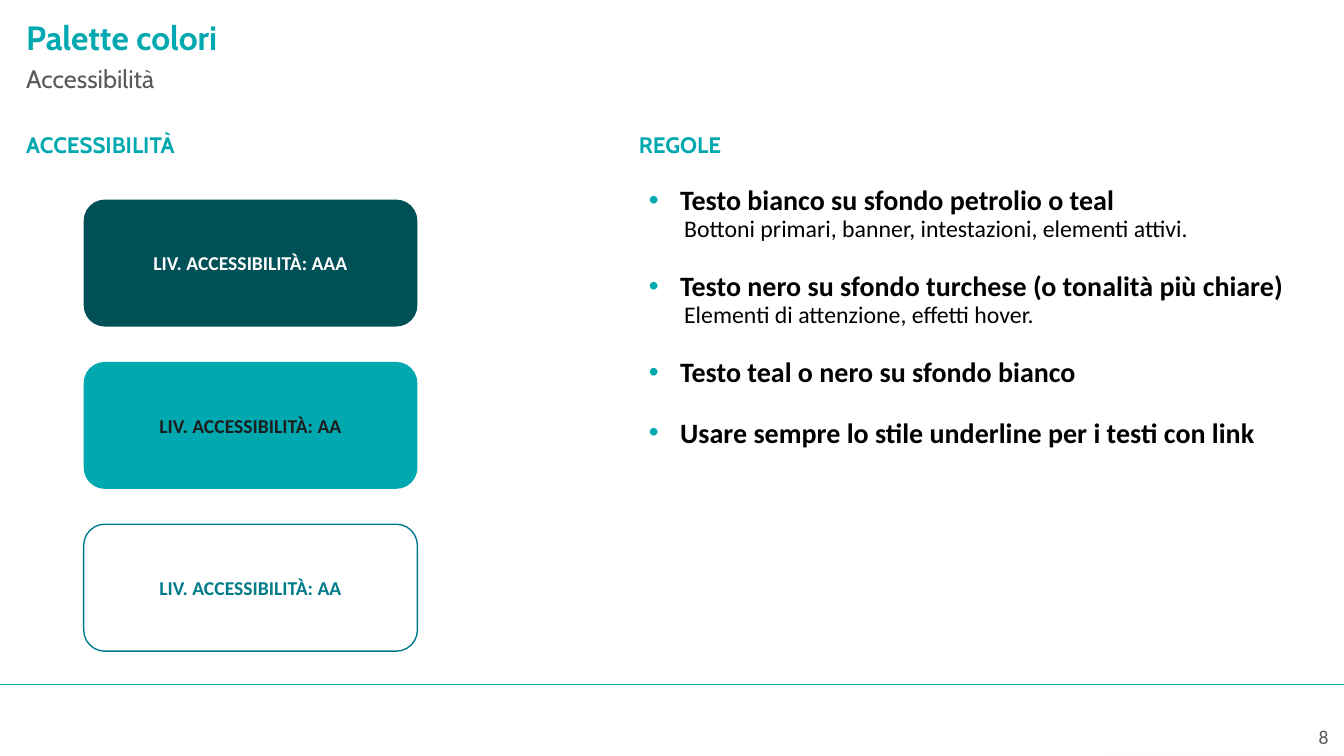
import pptx
import pptx.dml.color
import pptx.enum.shapes
import pptx.enum.text
import pptx.oxml
import pptx.oxml.ns
import pptx.util
from dataclasses import dataclass
from lxml import etree

Cm, Pt = pptx.util.Cm, pptx.util.Pt
ALIGN = pptx.enum.text.PP_ALIGN
ANCHOR = pptx.enum.text.MSO_ANCHOR
SHAPE = pptx.enum.shapes.MSO_SHAPE


@dataclass(frozen=True)
class Theme:
    heading_font: str = "Cabin"
    body_font: str = "Calibri"
    turquoise: str = "00A8B0"
    petrol: str = "005157"
    teal: str = "007B8B"
    grey: str = "595959"
    ink: str = "1D1D1D"
    black: str = "000000"
    white: str = "FFFFFF"
    title: int = 24
    subtitle: int = 18
    heading: int = 16
    rule: int = 20
    detail: int = 17
    label: int = 14


THEME = Theme()
TITLE = "Palette colori"
SUBTITLE = "Accessibilità"
LEFT_HEADING = "ACCESSIBILITÀ"
RIGHT_HEADING = "REGOLE"
PAGE_NUMBER = "8"
CARDS = [
    ("LIV. ACCESSIBILITÀ: AAA", THEME.petrol, THEME.white, None),
    ("LIV. ACCESSIBILITÀ: AA", THEME.turquoise, THEME.ink, None),
    ("LIV. ACCESSIBILITÀ: AA", THEME.white, THEME.teal, THEME.teal),
]
RULES = [
    ("Testo bianco su sfondo petrolio o teal",
     "Bottoni primari, banner, intestazioni, elementi attivi."),
    ("Testo nero su sfondo turchese (o tonalità più chiare)",
     "Elementi di attenzione, effetti hover."),
    ("Testo teal o nero su sfondo bianco", None),
    ("Usare sempre lo stile underline per i testi con link", None),
]

PAGE_WIDTH, PAGE_HEIGHT = 33.87, 19.05
LEFT_COLUMN, RIGHT_COLUMN = 0.66, 16.1
CARD_LEFT, CARD_TOP, CARD_WIDTH, CARD_HEIGHT, CARD_PITCH = 2.11, 5.03, 8.41, 3.2, 4.09
FOOTER_TOP = 17.25


def rgb(value):
    return pptx.dml.color.RGBColor.from_string(value)


def place(shape, left, top, width, height):
    shape.left, shape.top = Cm(left), Cm(top)
    shape.width, shape.height = Cm(width), Cm(height)


def set_frame(shape, insets, anchor):
    frame = shape.text_frame
    frame.word_wrap = True
    frame.auto_size = pptx.enum.text.MSO_AUTO_SIZE.NONE
    frame.vertical_anchor = anchor
    frame.margin_left, frame.margin_top, frame.margin_right, frame.margin_bottom = map(Cm, insets)
    return frame


def set_bullet(para, indent, hanging, color=None):
    properties = para._p.get_or_add_pPr()
    properties.set("marL", str(Cm(indent)))
    properties.set("indent", str(-Cm(hanging)))
    if color:
        tint = etree.SubElement(properties, pptx.oxml.ns.qn("a:buClr"))
        etree.SubElement(tint, pptx.oxml.ns.qn("a:srgbClr"), val=color)
        etree.SubElement(properties, pptx.oxml.ns.qn("a:buChar"), char="•")
    else:
        etree.SubElement(properties, pptx.oxml.ns.qn("a:buNone"))


def style(para, font, size, color, bold=False, align=ALIGN.LEFT, spacing=0.9, before=0):
    para.alignment = align
    para.line_spacing = spacing
    para.space_before = Pt(before)
    para.font.name = font
    para.font.size = Pt(size)
    para.font.bold = bold
    para.font.color.rgb = rgb(color)


def write_heading(holder, text, area, inset, anchor, size, color, bold):
    place(holder, *area)
    frame = set_frame(holder, (0, inset, 0.25, inset), anchor)
    frame.text = text
    para = frame.paragraphs[0]
    set_bullet(para, 0, 0)
    style(para, THEME.heading_font, size, color, bold)


def add_glow(page):
    glow = page.shapes.add_shape(SHAPE.RECTANGLE, Cm(26.59), Cm(11.79), Cm(4.9), Cm(9.63))
    glow.shadow.inherit = False
    glow.rotation = 270
    glow._element.spPr.xfrm.set("flipH", "1")
    glow.line.fill.background()
    glow.fill.gradient()
    glow.fill.gradient_angle = 135
    for stop, position in zip(glow.fill.gradient_stops, (0, 0.43)):
        stop.color.rgb = rgb(THEME.white)
        stop.position = position
    clear = glow._element.spPr.xpath(".//a:srgbClr")[-1]
    etree.SubElement(clear, pptx.oxml.ns.qn("a:alpha"), val="0")


def add_footer(page):
    number = page.shapes.add_textbox(Cm(31.67), Cm(18.11), Cm(2.06), Cm(0.74))
    frame = set_frame(number, (0.25, 0.13, 0.25, 0), ANCHOR.BOTTOM)
    frame.text = PAGE_NUMBER
    style(frame.paragraphs[0], THEME.body_font, THEME.label, THEME.grey, align=ALIGN.RIGHT, spacing=1.0)
    line = page.shapes.add_connector(pptx.enum.shapes.MSO_CONNECTOR.STRAIGHT,
                                     0, Cm(FOOTER_TOP), Cm(PAGE_WIDTH), Cm(FOOTER_TOP))
    line.line.color.rgb = rgb(THEME.turquoise)
    line.line.width = Pt(0.5)
    etree.SubElement(line._element.spPr, pptx.oxml.ns.qn("a:effectLst"))


def add_cards(page):
    for row, (label, fill, ink, outline) in enumerate(CARDS):
        card = page.shapes.add_shape(SHAPE.ROUNDED_RECTANGLE, Cm(CARD_LEFT), Cm(CARD_TOP + row * CARD_PITCH),
                                     Cm(CARD_WIDTH), Cm(CARD_HEIGHT))
        card.shadow.inherit = False
        card.fill.solid()
        card.fill.fore_color.rgb = rgb(fill)
        if outline:
            card.line.color.rgb = rgb(outline)
            card.line.width = Pt(1)
        else:
            card.line.fill.background()
        frame = set_frame(card, (0.25, 0.13, 0.25, 0.13), ANCHOR.MIDDLE)
        frame.text = label
        style(frame.paragraphs[0], THEME.body_font, THEME.label, ink, True, ALIGN.CENTER, 1.0)


def write_rules(holder):
    place(holder, RIGHT_COLUMN, 4.45, 16.61, 9.4)
    frame = set_frame(holder, (0.25, 0.25, 0.25, 0.25), ANCHOR.TOP)
    for index, (rule, detail) in enumerate(RULES):
        para = frame.add_paragraph() if index else frame.paragraphs[0]
        para.text = rule
        set_bullet(para, 0.79, 0.79, THEME.turquoise)
        style(para, THEME.body_font, THEME.rule, THEME.black, True, before=21.5 if index else 0)
        if detail:
            para = frame.add_paragraph()
            para.text = detail
            para.level = 1
            set_bullet(para, 0.89, 0)
            style(para, THEME.body_font, THEME.detail, THEME.black)


def main():
    """Build the colour accessibility slide."""
    deck = pptx.Presentation()
    deck.slide_width, deck.slide_height = Cm(PAGE_WIDTH), Cm(PAGE_HEIGHT)
    page = deck.slides.add_slide(deck.slide_layouts.get_by_name("Comparison"))
    title, left_heading, subtitle, right_heading, rules = page.placeholders
    add_glow(page)
    add_footer(page)
    write_heading(title, TITLE, (LEFT_COLUMN, 0.48, 32.05, 1.04), 0.13, ANCHOR.MIDDLE,
                  THEME.title, THEME.turquoise, True)
    write_heading(subtitle, SUBTITLE, (LEFT_COLUMN, 1.5, 32.05, 1.04), 0.13, ANCHOR.MIDDLE,
                  THEME.subtitle, THEME.grey, False)
    for holder, text, left, width in ((left_heading, LEFT_HEADING, LEFT_COLUMN, 7.8),
                                      (right_heading, RIGHT_HEADING, RIGHT_COLUMN, 4.83)):
        write_heading(holder, text, (left, 3.12, width, 1.22), 0.25, ANCHOR.TOP,
                      THEME.heading, THEME.turquoise, True)
    write_rules(rules)
    add_cards(page)
    deck.save("out.pptx")


if __name__ == "__main__":
    main()
